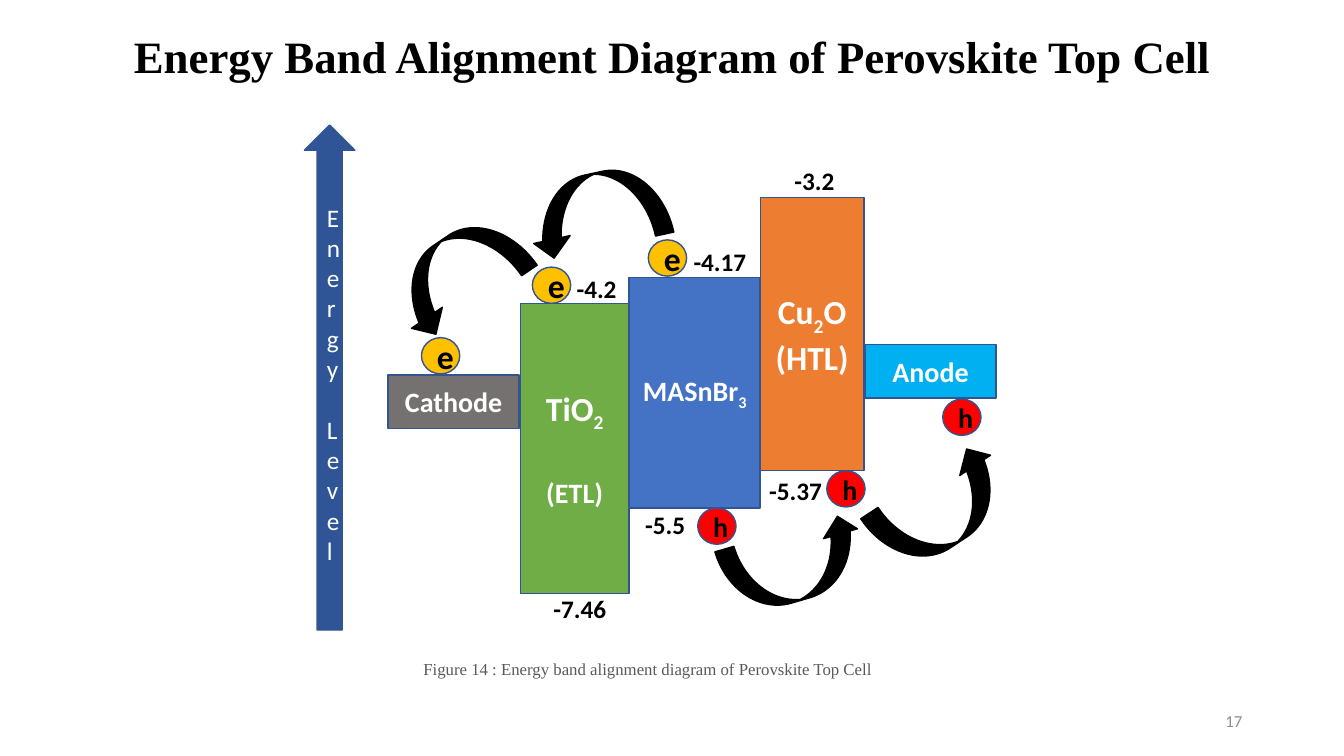
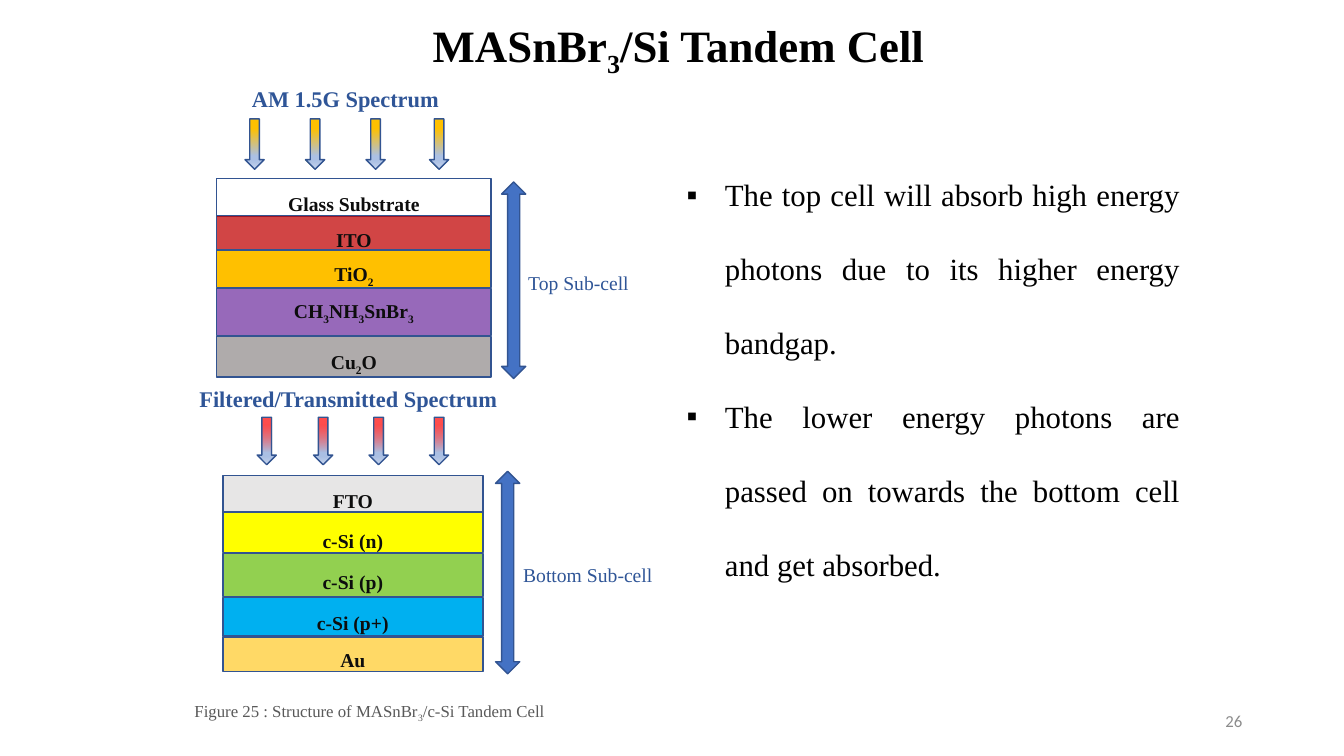
from dataclasses import dataclass

from lxml.etree import SubElement
from pptx import Presentation
from pptx.dml.color import RGBColor
from pptx.enum.shapes import MSO_SHAPE
from pptx.enum.text import MSO_ANCHOR, MSO_AUTO_SIZE, PP_ALIGN
from pptx.oxml.ns import qn
from pptx.util import Inches, Pt

# Shared look
SERIF, SANS = "Times New Roman", "Calibri"
BLACK = RGBColor(0x00, 0x00, 0x00)
WHITE = RGBColor(0xFF, 0xFF, 0xFF)
INK = RGBColor(0x0D, 0x0D, 0x0D)
CAPTION_GREY = RGBColor(0x59, 0x59, 0x59)
NUMBER_GREY = RGBColor(0x8C, 0x8C, 0x8C)
OUTLINE = RGBColor(0x32, 0x54, 0x91)
NAVY = RGBColor(0x2F, 0x55, 0x97)
BLUE = RGBColor(0x44, 0x72, 0xC4)
CYAN = RGBColor(0x00, 0xB0, 0xF0)
ORANGE = RGBColor(0xED, 0x7D, 0x31)
GREEN = RGBColor(0x70, 0xAD, 0x47)
LIME = RGBColor(0x92, 0xD0, 0x50)
SLATE = RGBColor(0x76, 0x71, 0x71)
SILVER = RGBColor(0xAF, 0xAB, 0xAB)
PALE_GREY = RGBColor(0xE7, 0xE6, 0xE6)
AMBER = RGBColor(0xFF, 0xC0, 0x00)
GOLD = RGBColor(0xFF, 0xD9, 0x66)
YELLOW = RGBColor(0xFF, 0xFF, 0x00)
RED = RGBColor(0xFF, 0x00, 0x00)
CRIMSON = RGBColor(0xC0, 0x00, 0x00)
PURPLE = RGBColor(0x70, 0x30, 0xA0)
SKY = RGBColor(0xAB, 0xC0, 0xE4)
PALE_SKY = RGBColor(0xC7, 0xD5, 0xED)


@dataclass
class Band:
    text: str
    left: float
    top: float
    width: float
    height: float
    color: RGBColor
    size: int = 20


@dataclass
class Carrier:
    text: str
    left: float
    top: float
    color: RGBColor
    size: int


@dataclass
class Jump:
    left: float
    top: float
    width: float
    height: float
    rotation: float
    thickness: float = 0.25


@dataclass
class Layer:
    text: str
    top: float
    height: float
    color: RGBColor
    opacity: int = 100
    anchor: MSO_ANCHOR = MSO_ANCHOR.MIDDLE
    spacing: float = 1.5


BANDS = [
    Band("MASnBr_3", 6.24, 2.75, 1.3, 2.29, BLUE),
    Band("Cu_2O\n(HTL)", 7.54, 1.96, 1.03, 2.71, ORANGE, 24),
    Band("TiO_2\n(ETL)", 5.16, 3.01, 1.08, 2.88, GREEN, 24),
    Band("Cathode", 3.85, 3.72, 1.3, 0.53, SLATE),
    Band("Anode", 8.58, 3.42, 1.3, 0.53, CYAN),
]
CARRIERS = [
    Carrier("e", 6.43, 2.38, AMBER, 24),
    Carrier("e", 5.28, 2.65, AMBER, 24),
    Carrier("e", 4.18, 3.35, AMBER, 24),
    Carrier("h", 6.92, 5.04, RED, 20),
    Carrier("h", 8.2, 4.67, RED, 20),
    Carrier("h", 9.35, 3.96, RED, 20),
]
JUMPS = [
    Jump(5.22, 1.72, 1.4, 0.74, 167.7),
    Jump(3.84, 2.35, 1.4, 0.74, 145.7),
    Jump(7.16, 5.26, 1.44, 0.7, 343.8, 0.28),
    Jump(8.62, 4.69, 1.44, 0.73, 326.6, 0.28),
]
LEVELS = [("-4.2", 5.62, 2.66), ("-7.46", 5.39, 5.84), ("-4.17", 6.78, 2.39),
          ("-5.5", 6.3, 5.0), ("-3.2", 7.78, 1.59), ("-5.37", 7.53, 4.67)]
TOP_CELL = [
    Layer("Glass Substrate", 1.77, 0.38, WHITE),
    Layer("ITO", 2.14, 0.35, CRIMSON, 73),
    Layer("TiO_2", 2.48, 0.37, AMBER),
    Layer("CH_3NH_3SnBr_3", 2.86, 0.47, PURPLE, 72, spacing=1.0),
    Layer("Cu_2O", 3.34, 0.4, SILVER),
]
BOTTOM_CELL = [
    Layer("FTO", 4.72, 0.38, PALE_GREY),
    Layer("c-Si (n)", 5.08, 0.4, YELLOW, anchor=MSO_ANCHOR.TOP),
    Layer("c-Si (p)", 5.49, 0.43, LIME, anchor=MSO_ANCHOR.TOP),
    Layer("c-Si (p+)", 5.93, 0.38, CYAN),
    Layer("Au", 6.32, 0.34, GOLD),
]
POINTS = ("The top cell will absorb high energy photons due to its higher energy bandgap.\n"
          "The lower energy photons are passed on towards the bottom cell and get absorbed.")


def write(tf, text: str, *, size: float, color=BLACK, font=SERIF, bold=False,
          align=PP_ALIGN.LEFT, anchor=MSO_ANCHOR.TOP, spacing=1.0,
          wrap=True, inset=None, bullet=None) -> list:
    """Write one paragraph per line; an underscore lowers the next character."""
    tf.auto_size = MSO_AUTO_SIZE.NONE
    tf.word_wrap = wrap
    tf.vertical_anchor = anchor
    if inset is not None:
        tf.margin_left = tf.margin_right = Inches(inset)
        tf.margin_top = tf.margin_bottom = Inches(inset)
    for i, line in enumerate(text.split("\n")):
        p = tf.paragraphs[0] if i == 0 else tf.add_paragraph()
        if bullet:
            pPr = p._p.get_or_add_pPr()
            pPr.set("marL", str(Inches(0.38)))
            pPr.set("indent", str(-Inches(0.38)))
            SubElement(pPr, qn("a:buFont")).set("typeface", "Arial")
            SubElement(pPr, qn("a:buChar")).set("char", bullet)
        p.alignment = align
        p.line_spacing = spacing
        p.space_before = Pt(0)
        first, *rest = line.split("_")
        pieces = [(first, False)]
        for part in rest:
            pieces += [(part[0], True), (part[1:], False)]
        for piece, lowered in pieces:
            if not piece:
                continue
            r = p.add_run()
            r.text = piece
            r.font.name, r.font.size, r.font.bold = font, Pt(size), bold
            r.font.color.rgb = color
            if lowered:
                r._r.get_or_add_rPr().set("baseline", "-25000")
    return list(tf.paragraphs)


def place(sp, left: float, top: float, width: float, height: float) -> None:
    sp.left, sp.top = Inches(left), Inches(top)
    sp.width, sp.height = Inches(width), Inches(height)


def add_text(s, text: str, left: float, top: float, width: float, height: float, **fmt):
    sp = s.shapes.add_textbox(Inches(left), Inches(top), Inches(width), Inches(height))
    write(sp.text_frame, text, **fmt)
    return sp


def add_shape(s, kind, left: float, top: float, width: float, height: float,
              color=None, line=OUTLINE, rotation=0.0, opacity=100):
    sp = s.shapes.add_shape(kind, Inches(left), Inches(top), Inches(width), Inches(height))
    sp.shadow.inherit = False
    sp.rotation = rotation
    sp.line.color.rgb = line
    sp.line.width = Pt(1)
    if color is not None:
        sp.fill.solid()
        sp.fill.fore_color.rgb = color
    if opacity < 100:
        clr = sp._element.spPr.find(qn("a:solidFill"))[0]
        SubElement(clr, qn("a:alpha")).set("val", str(opacity * 1000))
    return sp


def fade(sp, start: int, color: RGBColor, opacity: int) -> None:
    """Fill from the given colour at the top to pale blue at the bottom."""
    sp.fill.gradient()
    sp.fill.gradient_angle = 270
    stops = sp._element.spPr.find(qn("a:gradFill")).find(qn("a:gsLst"))
    for gs in list(stops):
        stops.remove(gs)
    for pos, rgb, alpha in [(start, color, opacity), (74, SKY, 100),
                            (83, SKY, 100), (100, PALE_SKY, 100)]:
        gs = SubElement(stops, qn("a:gs"), pos=str(pos * 1000))
        clr = SubElement(gs, qn("a:srgbClr"), val=str(rgb))
        if alpha < 100:
            SubElement(clr, qn("a:alpha"), val=str(alpha * 1000))


def add_slide(prs, layout: int, title: str, box: tuple, number: str):
    s = prs.slides.add_slide(prs.slide_layouts[layout])
    place(s.shapes.title, *box)
    write(s.shapes.title.text_frame, title, size=32, bold=True, align=PP_ALIGN.CENTER,
          anchor=MSO_ANCHOR.BOTTOM, spacing=0.9)
    add_text(s, number, 9.42, 6.95, 3, 0.4, size=12, font=SANS, color=NUMBER_GREY,
             align=PP_ALIGN.RIGHT, anchor=MSO_ANCHOR.MIDDLE)
    return s


def energy_slide(prs) -> None:
    s = add_slide(prs, 5, "Energy Band Alignment Diagram of Perovskite Top Cell",
                  (1.18, 0.14, 10.98, 0.74), "17")
    add_text(s, "Figure 14 : Energy band alignment diagram of Perovskite Top Cell",
             3.37, 6.54, 6.11, 0.2, size=12, color=CAPTION_GREY,
             align=PP_ALIGN.CENTER, inset=0)
    centred = dict(font=SANS, align=PP_ALIGN.CENTER, anchor=MSO_ANCHOR.MIDDLE)

    # Energy bands
    for b in BANDS:
        sp = add_shape(s, MSO_SHAPE.RECTANGLE, b.left, b.top, b.width, b.height, b.color)
        lines = write(sp.text_frame, b.text, size=b.size, color=WHITE, bold=True, **centred)
        if b.text.endswith("(ETL)"):
            lines[1].space_before = Pt(30)
            lines[1].runs[0].font.size = Pt(20)

    # Electrons and holes with their jumps
    for j in JUMPS:
        sp = add_shape(s, MSO_SHAPE.CURVED_UP_ARROW, j.left, j.top, j.width, j.height,
                       BLACK, line=BLACK, rotation=j.rotation)
        sp.adjustments[0] = j.thickness
    for c in CARRIERS:
        sp = add_shape(s, MSO_SHAPE.OVAL, c.left, c.top, 0.38, 0.36, c.color)
        write(sp.text_frame, c.text, size=c.size, bold=True, **centred)

    # Energy axis
    sp = add_shape(s, MSO_SHAPE.UP_ARROW, 3.02, 1.24, 0.5, 5.01, NAVY)
    letters = write(sp.text_frame, "\n".join("EnergyLevel"), size=18, color=WHITE, **centred)
    letters[len("Energy")].space_before = Pt(22)

    for text, left, top in LEVELS:
        add_text(s, text, left, top, 0.75, 0.4, size=18, font=SANS, bold=True)


def tandem_slide(prs) -> None:
    s = add_slide(prs, 1, "MASnBr_3/Si Tandem Cell", (1.73, 0.26, 10, 0.52), "26")
    body = s.placeholders[1]
    place(body, 6.71, 1.33, 5.09, 4.43)
    write(body.text_frame, POINTS, size=22, align=PP_ALIGN.JUSTIFY, spacing=2.0, bullet="▪")
    add_text(s, "Figure 25 : Structure of MASnBr_3/c-Si Tandem Cell", 1.49, 6.79, 4.35, 0.37,
             size=12, color=CAPTION_GREY, align=PP_ALIGN.CENTER, spacing=1.5)

    # Layer stacks
    for layers, left, width in [(TOP_CELL, 2.15, 2.72), (BOTTOM_CELL, 2.21, 2.58)]:
        for layer in layers:
            sp = add_shape(s, MSO_SHAPE.RECTANGLE, left, layer.top, width, layer.height,
                           layer.color, opacity=layer.opacity)
            write(sp.text_frame, layer.text, size=14, color=INK, bold=True,
                  align=PP_ALIGN.CENTER, anchor=layer.anchor, spacing=layer.spacing)

    # Incoming light
    for lefts, top, height, start, color, opacity in [
            ((2.43, 3.03, 3.63, 4.26), 1.18, 0.5, 19, AMBER, 100),
            ((2.55, 3.11, 3.66, 4.26), 4.14, 0.47, 14, RED, 70)]:
        for left in lefts:
            sp = add_shape(s, MSO_SHAPE.DOWN_ARROW, left, top, 0.19, height)
            fade(sp, start, color, opacity)
    for text, left, top, width in [("AM 1.5G Spectrum", 2.4, 0.8, 2.08),
                                   ("Filtered/Transmitted Spectrum", 1.88, 3.77, 3.2)]:
        add_text(s, text, left, top, width, 0.37, size=16, color=NAVY, bold=True, wrap=False)

    # Sub-cell extents
    for left, top, width in [(4.12, 2.66, 1.95), (4.03, 5.56, 2.01)]:
        add_shape(s, MSO_SHAPE.LEFT_RIGHT_ARROW, left, top, width, 0.24, BLUE, rotation=90)
    for text, left, top, width in [("Top Sub-cell", 5.14, 2.64, 1.2),
                                   ("Bottom Sub-cell", 5.09, 5.54, 1.49)]:
        add_text(s, text, left, top, width, 0.34, size=14, color=NAVY, wrap=False)


def main() -> None:
    prs = Presentation()
    prs.slide_width, prs.slide_height = Inches(13.33), Inches(7.5)
    energy_slide(prs)
    tandem_slide(prs)
    prs.save("out.pptx")


if __name__ == "__main__":
    main()
